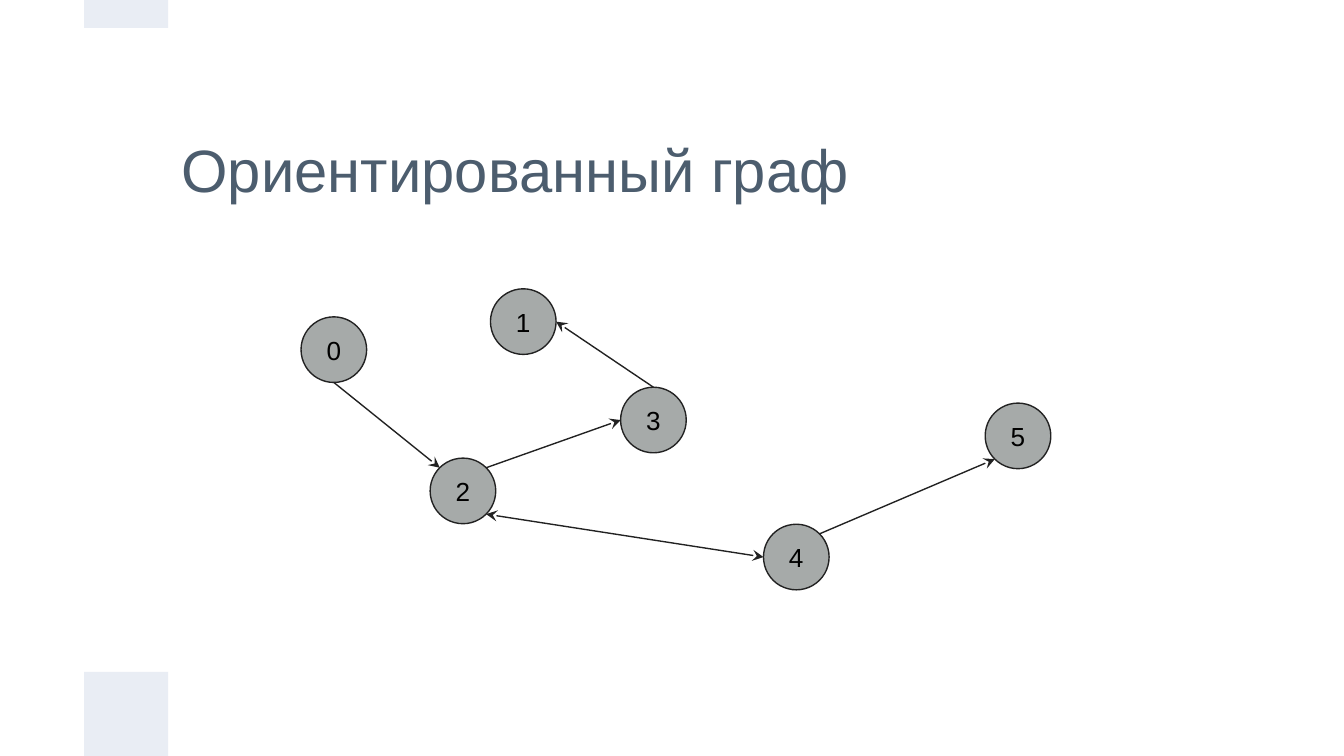
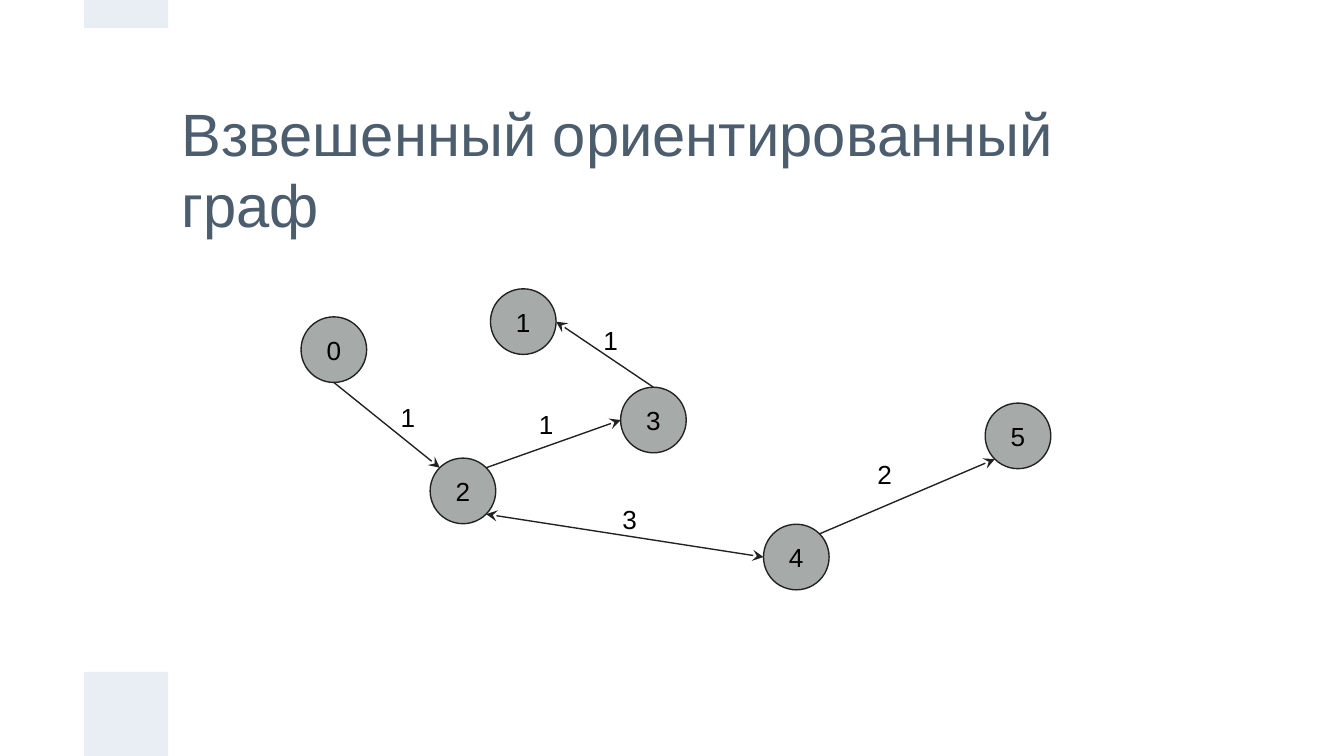
from dataclasses import dataclass
from math import cos, radians, sin

from lxml import etree
from pptx import Presentation
from pptx import util as u
from pptx.dml.color import RGBColor
from pptx.enum import shapes, text
from pptx.oxml import ns
from pptx.util import Cm

FONT = "Arial"
BAND, TITLE, NODE, LINE, INK = "E9EDF4", "4C5D6E", "A6AAA9", "222222", "000000"
WIDTH, HEIGHT = 25.4, 14.29
UNIT = 1.59  # grid step of the bands and the title
DIAMETER = 1.24
LABEL_HEIGHT = 1.27
INSET = 0.25
LINE_WIDTH = 0.75

# Angles on a node's rim, clockwise from the right
RIM = {"E": 0, "SE": 45, "S": 90, "SW": 135, "W": 180, "N": 270, "NE": 315, "NW": 225}


@dataclass(frozen=True)
class Node:
    name: str
    left: float
    top: float

    def rim(self, side: str) -> tuple[float, float]:
        radius, angle = DIAMETER / 2, radians(RIM[side])
        return (self.left + radius * (1 + cos(angle)),
                self.top + radius * (1 + sin(angle)))


@dataclass(frozen=True)
class Edge:
    start: str
    start_side: str
    end: str
    end_side: str
    arrows: tuple[str, ...]  # "headEnd" is at the start, "tailEnd" at the end
    weight: str
    label_left: float
    label_top: float


NODES = {node.name: node for node in (
    Node("0", 5.69, 5.99),
    Node("2", 8.13, 8.66),
    Node("1", 9.27, 5.46),
    Node("4", 14.43, 9.91),
    Node("3", 11.73, 7.32),
    Node("5", 18.62, 7.62),
)}

EDGES = (
    Edge("0", "S", "2", "NW", ("tailEnd",), "1", 7.09, 7.24),
    Edge("2", "NE", "3", "W", ("tailEnd",), "1", 9.7, 7.39),
    Edge("1", "E", "3", "N", ("headEnd",), "1", 10.92, 5.79),
    Edge("5", "SW", "4", "NE", ("headEnd",), "2", 16.1, 8.33),
    Edge("2", "SE", "4", "W", ("headEnd", "tailEnd"), "3", 11.28, 9.17),
)


def color(value: str) -> RGBColor:
    return RGBColor.from_string(value)


def write(shape, words: str, size: float, ink: str, align) -> None:
    """Put one styled paragraph, vertically centred, into a shape."""
    frame = shape.text_frame
    frame.text = words
    frame.word_wrap = True
    frame.auto_size = text.MSO_AUTO_SIZE.NONE
    frame.vertical_anchor = text.MSO_ANCHOR.MIDDLE
    frame.margin_left = frame.margin_right = Cm(INSET)
    frame.margin_top = frame.margin_bottom = Cm(INSET)
    paragraph = frame.paragraphs[0]
    paragraph.alignment = align
    font = paragraph.runs[0].font
    font.name, font.size = FONT, u.Pt(size)
    font.color.rgb = color(ink)


def draw_shape(slide, kind, left: float, top: float, width: float, height: float,
               fill: str):
    shape = slide.shapes.add_shape(kind, Cm(left), Cm(top), Cm(width), Cm(height))
    shape.shadow.inherit = False
    shape.fill.solid()
    shape.fill.fore_color.rgb = color(fill)
    return shape


def prepare_layout(layout) -> None:
    """Keep only the title placeholder and move it to its place."""
    for placeholder in list(layout.placeholders):
        if placeholder.placeholder_format.type == shapes.PP_PLACEHOLDER.TITLE:
            placeholder.left, placeholder.top = Cm(2 * UNIT), Cm(UNIT)
            placeholder.width, placeholder.height = Cm(12 * UNIT), Cm(2 * UNIT)
        else:
            layout.shapes.element.remove(placeholder.element)


def add_bands(slide, layout) -> None:
    """Draw the bands once and hand them over to the layout."""
    bands = ((HEIGHT - UNIT, UNIT), (0, UNIT / 3))
    for number, (top, height) in enumerate(bands):
        band = draw_shape(slide, shapes.MSO_SHAPE.RECTANGLE,
                          UNIT, top, UNIT, height, BAND)
        band.line.fill.background()
        band.element.xpath("./p:nvSpPr/p:cNvPr")[0].set("id", str(101 + number))
        layout.shapes.element.insert(2 + number, band.element)


def draw_node(slide, node: Node) -> None:
    circle = draw_shape(slide, shapes.MSO_SHAPE.OVAL,
                        node.left, node.top, DIAMETER, DIAMETER, NODE)
    circle.line.color.rgb = color(LINE)
    circle.line.width = u.Pt(LINE_WIDTH)
    write(circle, node.name, 14, INK, text.PP_ALIGN.CENTER)


def draw_edge(slide, edge: Edge) -> None:
    ends = (*NODES[edge.start].rim(edge.start_side),
            *NODES[edge.end].rim(edge.end_side))
    connector = slide.shapes.add_connector(
        shapes.MSO_CONNECTOR.STRAIGHT, *(Cm(value) for value in ends))
    connector.line.color.rgb = color(LINE)
    connector.line.width = u.Pt(LINE_WIDTH)
    properties = connector.element.spPr
    for arrow in edge.arrows:
        etree.SubElement(properties.find(ns.qn("a:ln")), ns.qn(f"a:{arrow}"),
                         type="stealth")
    etree.SubElement(properties, ns.qn("a:effectLst"))


def draw_weight(slide, edge: Edge) -> None:
    label = slide.shapes.add_textbox(Cm(edge.label_left), Cm(edge.label_top),
                                     Cm(DIAMETER), Cm(LABEL_HEIGHT))
    write(label, edge.weight, 14, INK, text.PP_ALIGN.CENTER)


def add_graph_slide(presentation, layout, title: str, weighted: bool):
    slide = presentation.slides.add_slide(layout)
    write(slide.shapes.title, title, 32, TITLE, text.PP_ALIGN.LEFT)
    for node in NODES.values():
        draw_node(slide, node)
    for edge in EDGES:
        draw_edge(slide, edge)
    if weighted:
        for edge in EDGES:
            draw_weight(slide, edge)
    return slide


def main() -> None:
    presentation = Presentation()
    presentation.slide_width, presentation.slide_height = Cm(WIDTH), Cm(HEIGHT)
    layout = presentation.slide_layouts.get_by_name("Title Only")
    prepare_layout(layout)

    # Directed graph, then the same graph with weights
    slide = add_graph_slide(presentation, layout, "Ориентированный граф", False)
    add_graph_slide(presentation, layout, "Взвешенный ориентированный граф", True)
    add_bands(slide, layout)

    presentation.save("out.pptx")


if __name__ == "__main__":
    main()
